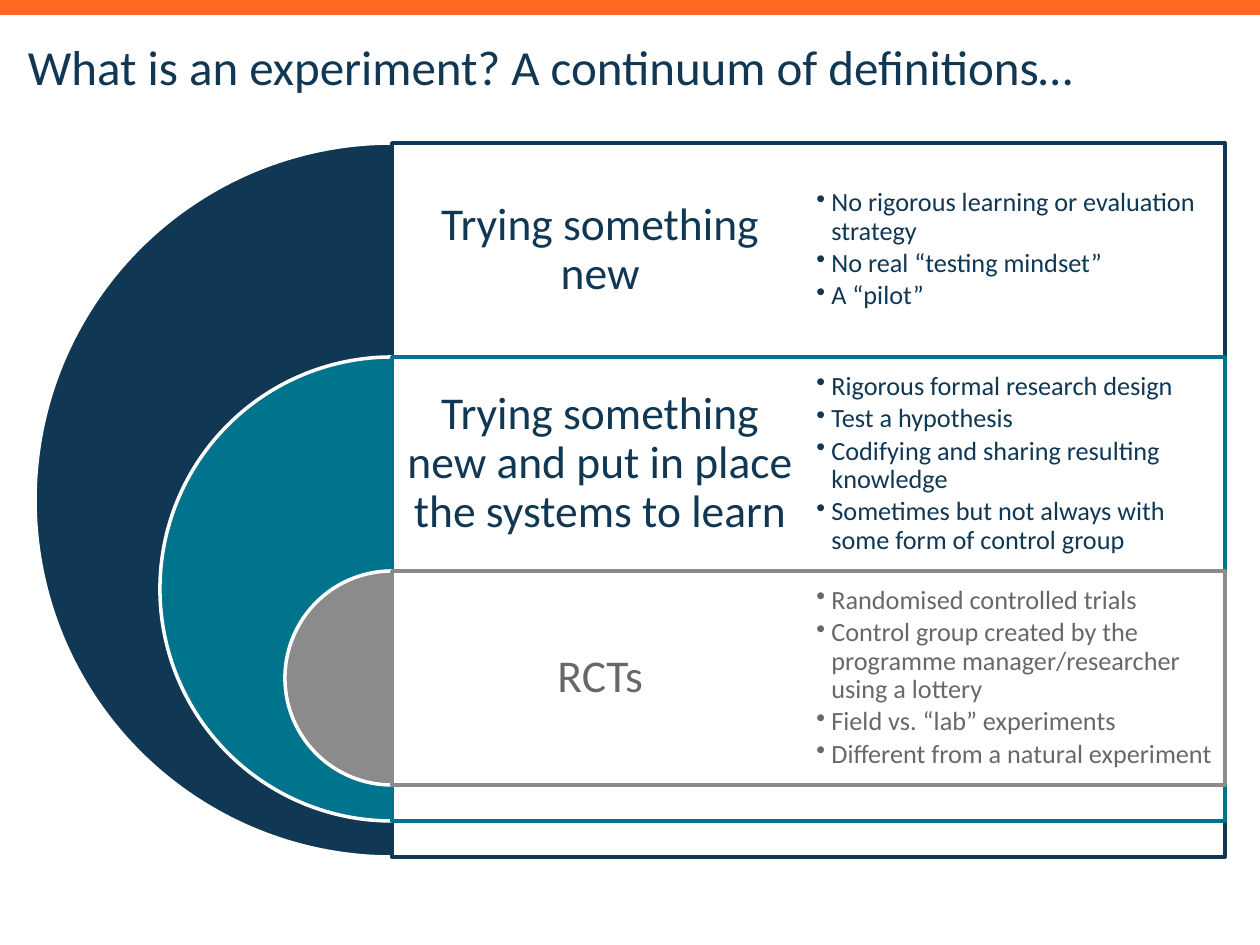
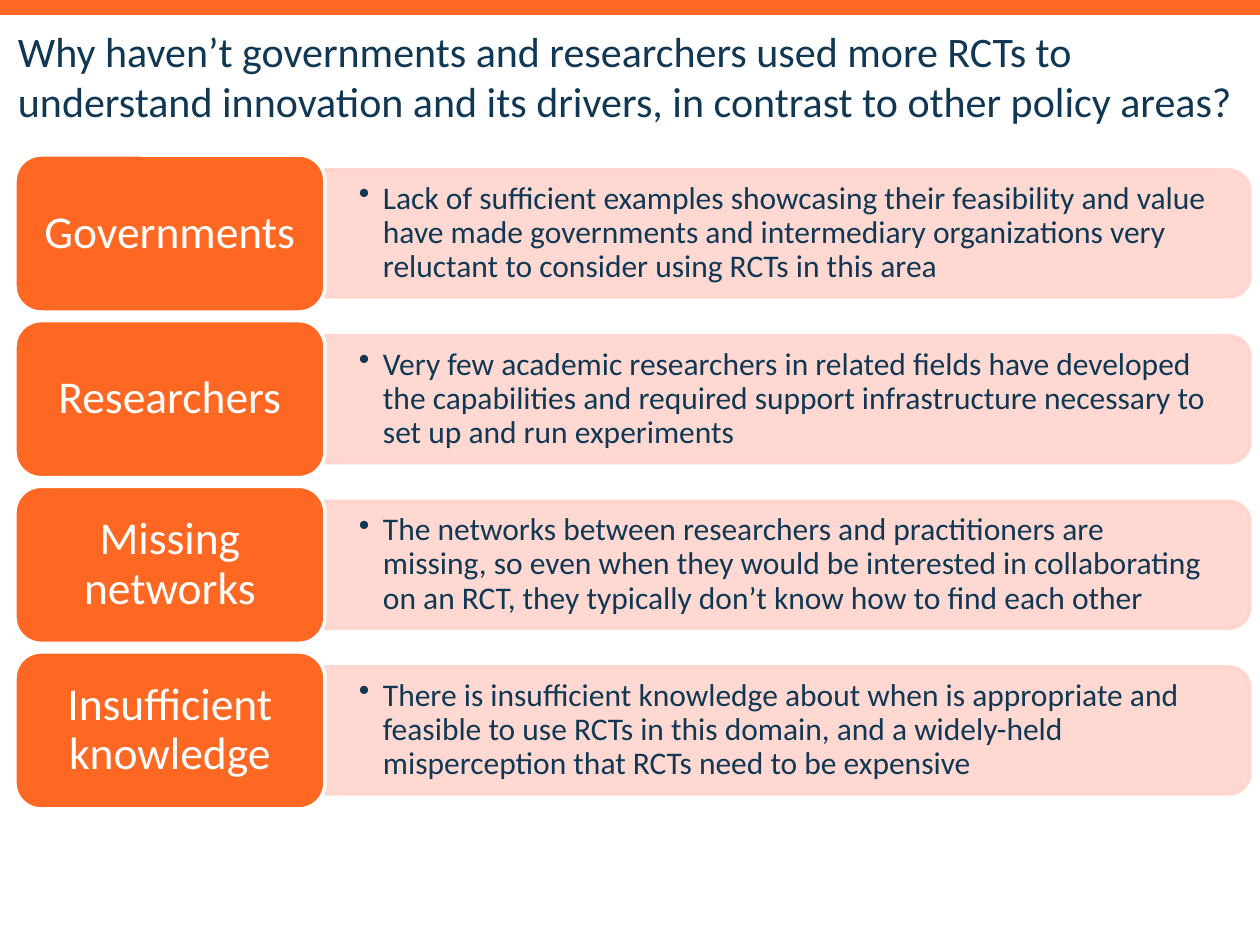
from lxml.etree import SubElement
from pptx import Presentation
from pptx.dml.color import RGBColor
from pptx.enum.shapes import MSO_SHAPE as Shape
from pptx.enum.text import MSO_ANCHOR as Anchor, PP_ALIGN as Align
from pptx.oxml.ns import qn
from pptx.util import Inches, Pt

PX = Inches(1) / 126
PAGE_WIDTH, PAGE_HEIGHT = 1260, 945
FONT = "Calibri"
LABEL_SIZE = 26

NAVY = RGBColor(0x10, 0x37, 0x53)
TEAL = RGBColor(0x00, 0x74, 0x8C)
GREY = RGBColor(0x8B, 0x8B, 0x8B)
DARK_GREY = RGBColor(0x68, 0x68, 0x68)
ORANGE = RGBColor(0xFF, 0x68, 0x23)
PINK = RGBColor(0xFF, 0xD4, 0xCD)
WHITE = RGBColor(0xFF, 0xFF, 0xFF)

# Label, band colour, text colour, points
DEFINITIONS = [
    ("Trying something new", NAVY, NAVY, [
        "No rigorous learning or evaluation strategy",
        "No real “testing mindset”",
        "A “pilot”",
    ]),
    ("Trying something new and put in place the systems to learn", TEAL, NAVY, [
        "Rigorous formal research design",
        "Test a hypothesis",
        "Codifying and sharing resulting knowledge",
        "Sometimes but not always with some form of control group",
    ]),
    ("RCTs", GREY, DARK_GREY, [
        "Randomised controlled trials",
        "Control group created by the programme manager/researcher using a lottery",
        "Field vs. “lab” experiments",
        "Different from a natural experiment",
    ]),
]

BARRIERS = [
    ("Governments",
     "Lack of sufficient examples showcasing their feasibility and value have made "
     "governments and intermediary organizations very reluctant to consider using "
     "RCTs in this area"),
    ("Researchers",
     "Very few academic researchers in related fields have developed the capabilities "
     "and required support infrastructure necessary to set up and run experiments"),
    ("Missing networks",
     "The networks between researchers and practitioners are missing, so even when "
     "they would be interested in collaborating on an RCT, they typically don’t know "
     "how to find each other"),
    ("Insufficient knowledge",
     "There is insufficient knowledge about when is appropriate and feasible to use "
     "RCTs in this domain, and a widely-held misperception that RCTs need to be "
     "expensive"),
]


def scale(*lengths):
    return [round(length * PX) for length in lengths]


def add_panel(page, kind, box, fill, line=None):
    panel = page.shapes.add_shape(kind, *scale(*box))
    panel.shadow.inherit = False
    panel.fill.solid()
    panel.fill.fore_color.rgb = fill
    if line is None:
        panel.line.fill.background()
    else:
        panel.line.color.rgb = line
        panel.line.width = Pt(2)
    return panel


def make_translucent(panel, colours):
    """Set 90% opacity on the colours that an XPath finds in the shape properties."""
    for colour in panel._element.spPr.xpath(colours):
        SubElement(colour, qn("a:alpha"), val="90000")


def add_bullet(para, indent):
    properties = para._p.get_or_add_pPr()
    properties.set("marL", str(round(indent * PX)))
    properties.set("indent", str(round(-indent * PX)))
    SubElement(properties, qn("a:buChar"), char="•")


def write(holder, lines, size, colour, insets=(13, 6), align=Align.LEFT,
          spacing=0.9, indent=0):
    """Fill a shape with paragraphs; an indent makes them bullets."""
    frame = holder.text_frame
    frame.word_wrap = True
    frame.vertical_anchor = Anchor.MIDDLE
    side, edge = scale(*insets)
    frame.margin_left = frame.margin_right = side
    frame.margin_top = frame.margin_bottom = edge
    for index, line in enumerate(lines):
        para = frame.paragraphs[0] if index == 0 else frame.add_paragraph()
        para.text = line
        if indent:
            add_bullet(para, indent)
            para.space_after = Pt(size * 0.15)
        para.alignment = align
        para.line_spacing = spacing
        para.font.name = FONT
        para.font.size = Pt(size)
        para.font.color.rgb = colour


def add_text(page, box, lines, size, colour, **layout):
    write(page.shapes.add_textbox(*scale(*box)), lines, size, colour, **layout)


def add_page(deck, title, title_box, title_size):
    page = deck.slides.add_slide(deck.slide_layouts[6])
    add_panel(page, Shape.RECTANGLE, (0, 0, PAGE_WIDTH, 15), ORANGE)
    add_text(page, title_box, [title], title_size, NAVY, spacing=1.0)
    return page


def add_continuum(page, box):
    """Nested half discs on the left, each with its row of text on the right."""
    left, top, width, height = box
    row_height, diameter_step = 214, 250
    axis = left + height / 2
    frame_width = left + width - axis
    column = frame_width / 2
    for index, (label, band, ink, points) in enumerate(DEFINITIONS):
        row_top = top + index * row_height
        diameter = height - index * diameter_step
        disc = add_panel(page, Shape.PIE,
                         (axis - diameter / 2, row_top, diameter, diameter), band, WHITE)
        disc.adjustments[0], disc.adjustments[1] = 54, 162
        frame = add_panel(page, Shape.RECTANGLE,
                          (axis, row_top, frame_width, diameter), WHITE, band)
        make_translucent(frame, "a:solidFill/a:srgbClr")
        add_text(page, (axis, row_top, column, row_height), [label], LABEL_SIZE, ink,
                 insets=(14, 14), align=Align.CENTER)
        add_text(page, (axis + column, row_top, column, row_height), points, 15, ink,
                 insets=(8, 8), indent=15)


def add_barrier(page, box, label, reason):
    left, top, width, height = box
    label_width, bar_height = 310, 127
    bar_left, bar_width = left + label_width, width - label_width
    middle = top + height / 2
    # The bar is drawn upright and turned a quarter about its centre.
    bar = add_panel(page, Shape.ROUND_2_SAME_RECTANGLE,
                    (bar_left + (bar_width - bar_height) / 2, middle - bar_width / 2,
                     bar_height, bar_width), PINK, PINK)
    bar.rotation = 90
    make_translucent(bar, ".//a:srgbClr")
    add_text(page, (bar_left, middle - 57, bar_width - 6, 114), [reason], 18, NAVY,
             insets=(34, 18), indent=24)
    card = add_panel(page, Shape.ROUNDED_RECTANGLE, (left, top, label_width, height),
                     ORANGE, WHITE)
    write(card, [label], LABEL_SIZE, WHITE, insets=(21, 14), align=Align.CENTER)


def add_barriers(page, box):
    left, top, width, height = box
    row_height = 157
    pitch = (height - row_height) / (len(BARRIERS) - 1)
    for index, (label, reason) in enumerate(BARRIERS):
        add_barrier(page, (left, top + index * pitch, width, row_height), label, reason)


def main():
    deck = Presentation()
    deck.slide_width, deck.slide_height = scale(PAGE_WIDTH, PAGE_HEIGHT)

    page = add_page(deck, "What is an experiment? A continuum of definitions…",
                    (15, 26, 1231, 80), 28)
    add_continuum(page, (35, 143, 1190, 714))

    page = add_page(deck, "Why haven’t governments and researchers used more RCTs to "
                    "understand innovation and its drivers, in contrast to other "
                    "policy areas?", (5, 16, 1245, 119), 24)
    add_barriers(page, (15, 155, 1235, 654))

    deck.save("out.pptx")


if __name__ == "__main__":
    main()
